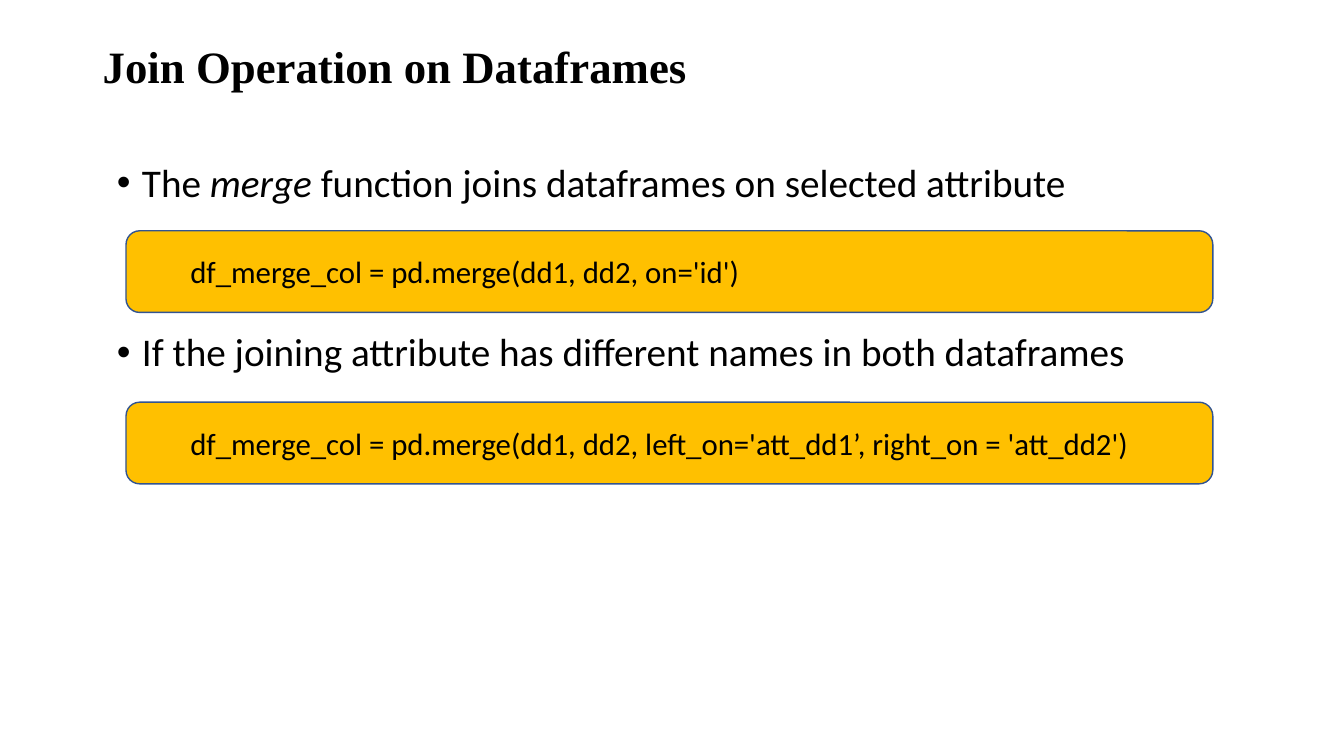
from lxml import etree
from pptx import Presentation
from pptx.dml.color import RGBColor
from pptx.enum.shapes import MSO_SHAPE
from pptx.enum.text import MSO_ANCHOR, PP_ALIGN
from pptx.oxml.ns import qn
from pptx.util import Inches, Pt

BLACK = RGBColor(0x00, 0x00, 0x00)
GOLD = RGBColor(0xFF, 0xC0, 0x00)
NAVY = RGBColor(0x32, 0x54, 0x91)
ROUND = MSO_SHAPE.ROUNDED_RECTANGLE
MIDDLE = MSO_ANCHOR.MIDDLE
TOP = MSO_ANCHOR.TOP
LEFT = PP_ALIGN.LEFT


class Deck:
    serif = "Times New Roman"
    sans = "Calibri"
    tight = 0.9

    def __init__(self):
        self.show = Presentation()
        self.show.slide_width = Inches(13.33)
        self.show.slide_height = Inches(7.5)
        self.slide = self.show.slides.add_slide(self.show.slide_layouts[6])

    def place(self, left, top, width, height):
        wide, high = self.show.slide_width, self.show.slide_height
        return [int(share * size / 100) for share, size in
                zip((left, top, width, height), (wide, high, wide, high))]

    def run(self, para, text, size, font, bold=False, italic=False):
        run = para.add_run()
        run.text = text
        run.font.size = Pt(size)
        run.font.name = font
        run.font.bold = bold
        run.font.italic = italic
        run.font.color.rgb = BLACK

    def indent(self, para, margin, first=0.0):
        props = para._p.get_or_add_pPr()
        props.set("marL", str(Inches(margin)))
        props.set("indent", str(Inches(first)))
        return props

    def frame(self, area):
        frame = self.slide.shapes.add_textbox(*self.place(*area)).text_frame
        frame.word_wrap = True
        frame.vertical_anchor = TOP
        return frame

    def title(self, area, text):
        para = self.frame(area).paragraphs[0]
        para.line_spacing = self.tight
        self.run(para, text, 32, self.serif, bold=True)

    def bullets(self, area, items, gap):
        frame = self.frame(area)
        for rank, item in enumerate(items):
            para = frame.add_paragraph() if rank else frame.paragraphs[0]
            para.line_spacing = self.tight
            para.space_before = Pt(gap if rank else 0)
            props = self.indent(para, 0.25, -0.25)
            etree.SubElement(props, qn("a:buFont")).set("typeface", "Arial")
            etree.SubElement(props, qn("a:buChar")).set("char", "•")
            for text, italic in item:
                self.run(para, text, 28, self.sans, italic=italic)

    def code(self, area, text):
        box = self.slide.shapes.add_shape(ROUND, *self.place(*area))
        box.shadow.inherit = False
        box.fill.solid()
        box.fill.fore_color.rgb = GOLD
        box.line.color.rgb = NAVY
        box.line.width = Pt(1)
        frame = box.text_frame
        frame.word_wrap = True
        frame.vertical_anchor = MIDDLE
        para = frame.paragraphs[0]
        para.alignment = LEFT
        self.indent(para, 0.5)
        self.run(para, text, 22, self.sans)

    def save(self):
        self.show.save("out.pptx")


def main():
    deck = Deck()
    deck.title((6.9, 5.33, 86.25, 13.33), "Join Operation on Dataframes")
    deck.bullets((7.95, 20.93, 86.25, 73.07), [
        [("The ", False), ("merge ", True),
         ("function joins dataframes on selected attribute", False)],
        [("If the joining attribute has different names in both dataframes",
          False)],
    ], 91)
    calls = [
        "df_merge_col = pd.merge(dd1, dd2, on='id')",
        "df_merge_col = pd.merge(dd1, dd2, left_on='att_dd1’, "
        "right_on = 'att_dd2')",
    ]
    for rank, call in enumerate(calls):
        deck.code((9.38, 30.53 + 22.67 * rank, 80.86, 10.8), call)
    deck.save()


if __name__ == "__main__":
    main()
